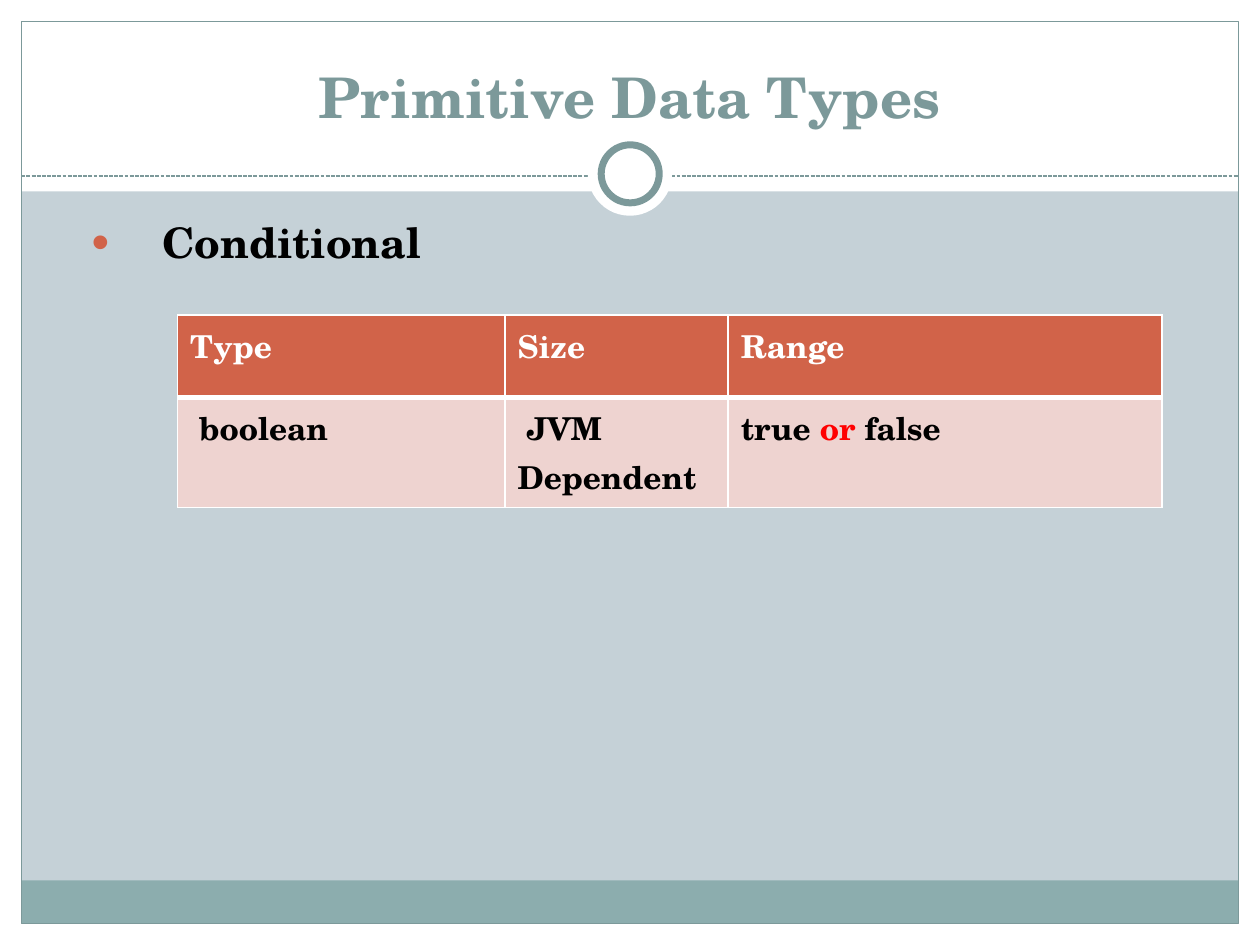
"""Build the slide on the conditional primitive data type."""
import lxml.etree
import pptx
import pptx.dml.color
import pptx.enum.dml
import pptx.enum.shapes
import pptx.enum.text
import pptx.oxml.ns
import pptx.util
from pptx.util import Cm

FONT = "TeX Gyre Schola"
WHITE, BLACK, RED = "FFFFFF", "000000", "FF0000"
TEAL, RUST, PINK = "7C999A", "D16349", "EED3D0"
SHAPES = pptx.enum.shapes.MSO_SHAPE


def rgb(value):
    return pptx.dml.color.RGBColor.from_string(value)


def add_element(parent, tag, **attributes):
    return lxml.etree.SubElement(parent, pptx.oxml.ns.qn(tag), attributes)


deck = pptx.Presentation()
deck.slide_width, deck.slide_height = Cm(25.4), Cm(19.05)
slide = deck.slides.add_slide(deck.slide_layouts[6])
slide.background.fill.solid()
slide.background.fill.fore_color.rgb = rgb("C5D1D7")

divider = slide.shapes.add_connector(
    pptx.enum.shapes.MSO_CONNECTOR.STRAIGHT, Cm(0.43), Cm(3.55), Cm(24.97), Cm(3.55)
)
divider.line.color.rgb = rgb(TEAL)
divider.line.width = pptx.util.Pt(0.75)
divider.line.dash_style = pptx.enum.dml.MSO_LINE.SQUARE_DOT
add_element(divider.element.spPr, "a:effectLst")

for kind, left, top, width, height, fill, line_width in (
    (SHAPES.RECTANGLE, 0, 18.62, 25.4, 0.43, WHITE, 0),
    (SHAPES.RECTANGLE, 0, 0, 25.4, 3.86, WHITE, 0),
    (SHAPES.RECTANGLE, 0, 0, 0.43, 19.05, WHITE, 0),
    (SHAPES.RECTANGLE, 24.97, 0, 0.43, 19.05, WHITE, 0),
    (SHAPES.RECTANGLE, 0.43, 17.75, 24.54, 0.86, "8CADAE", 0),
    (SHAPES.RECTANGLE, 0.43, 0.43, 24.54, 18.19, None, 0.75),
    (SHAPES.OVAL, 11.85, 2.65, 1.7, 1.7, WHITE, 0),
    (SHAPES.OVAL, 12.12, 2.92, 1.17, 1.17, WHITE, 4),
):
    if kind == SHAPES.OVAL and not line_width:
        slide.shapes._spTree.append(divider.element)
    part = slide.shapes.add_shape(kind, Cm(left), Cm(top), Cm(width), Cm(height))
    part.shadow.inherit = False
    if fill:
        part.fill.solid()
        part.fill.fore_color.rgb = rgb(fill)
    else:
        part.fill.background()
    if line_width:
        part.line.color.rgb = rgb(TEAL)
        part.line.width = pptx.util.Pt(line_width)
    else:
        part.line.fill.background()

title = slide.shapes.add_textbox(Cm(0.84), Cm(0.64), Cm(23.7), Cm(2.11)).text_frame
title.vertical_anchor = pptx.enum.text.MSO_ANCHOR.BOTTOM
title.paragraphs[0].alignment = pptx.enum.text.PP_ALIGN.CENTER
body = slide.shapes.add_textbox(Cm(0.84), Cm(4.24), Cm(23.62), Cm(13.49)).text_frame
bullet = body.paragraphs[0]._p.get_or_add_pPr()
bullet.set("marL", str(Cm(2.18)))
bullet.set("indent", str(Cm(-1.42)))
add_element(add_element(bullet, "a:buClr"), "a:srgbClr", val=RUST)
add_element(bullet, "a:buSzPct", val="120000")
add_element(bullet, "a:buFont", typeface="Arial")
add_element(bullet, "a:buChar", char="•")

for frame, text, size, color in (
    (title, "Primitive Data Types", 32, TEAL),
    (body, "Conditional", 24, BLACK),
):
    frame.word_wrap = True
    paragraph = frame.paragraphs[0]
    paragraph.add_run().text = text
    paragraph.font.name = FONT
    paragraph.font.size = pptx.util.Pt(size)
    paragraph.font.bold = True
    paragraph.font.color.rgb = rgb(color)

types = slide.shapes.add_table(2, 3, Cm(3.58), Cm(6.35), Cm(19.84), Cm(3.88)).table
for column, width in zip(types.columns, (6.6, 4.5, 8.74)):
    column.width = Cm(width)

rows = (
    (1.66, RUST, WHITE, 3, (["Type"], ["Size"], ["Range"])),
    (2.22, PINK, BLACK, 1, ([" boolean"], [" JVM Dependent"], ["true ", "or ", "false"])),
)
for row, (height, fill, color, bottom_width, entries) in zip(types.rows, rows):
    row.height = Cm(height)
    for cell, words in zip(row.cells, entries):
        borders = cell._tc.get_or_add_tcPr()
        for side, width in (("L", 1), ("R", 1), ("T", 1), ("B", bottom_width)):
            border = add_element(borders, f"a:ln{side}", w=str(pptx.util.Pt(width)))
            add_element(add_element(border, "a:solidFill"), "a:srgbClr", val=WHITE)
        cell.fill.solid()
        cell.fill.fore_color.rgb = rgb(fill)
        paragraph = cell.text_frame.paragraphs[0]
        paragraph.font.name = FONT
        paragraph.font.size = pptx.util.Pt(18)
        paragraph.font.bold = True
        paragraph.font.color.rgb = rgb(color)
        for word in words:
            run = paragraph.add_run()
            run.text = word
            if word == "or ":
                run.font.color.rgb = rgb(RED)

deck.save("out.pptx")
